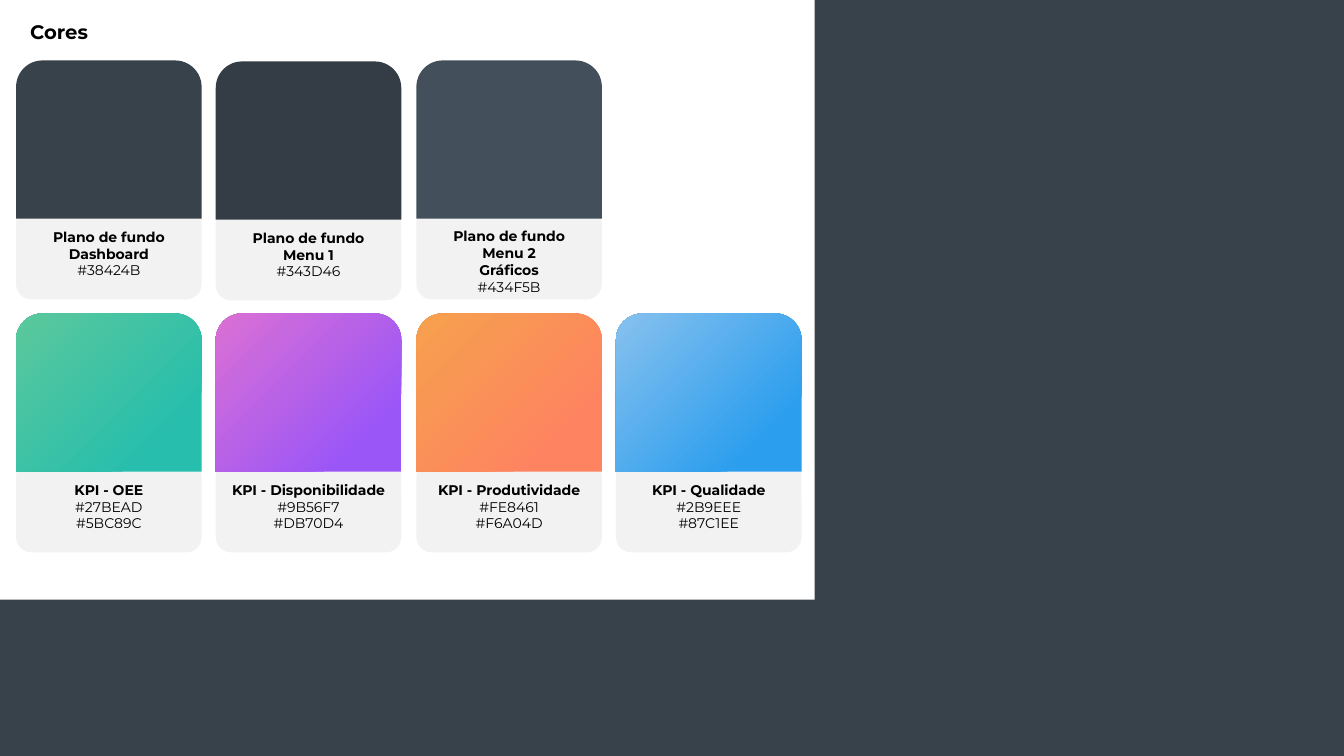
from dataclasses import dataclass

from pptx import Presentation
from pptx.dml.color import RGBColor
from pptx.enum.shapes import MSO_SHAPE
from pptx.enum.text import MSO_ANCHOR, PP_ALIGN
from pptx.util import Emu, Pt

PX = 9144  # 100 px to the inch
FONT = "Montserrat"
COLORS = {
    "page": "38424B",
    "panel": "FFFFFF",
    "label": "F2F2F2",
    "text": "000000",
    "menu1": "343D46",
    "menu2": "434F5B",
    "teal": "27BEAD",
    "green": "5BC89C",
    "violet": "9B56F7",
    "pink": "DB70D4",
    "coral": "FE8461",
    "amber": "F6A04D",
    "blue": "2B9EEE",
    "sky": "87C1EE",
}

# Card grid
LEFT, SPAN = 16, 595  # first column, and distance to the fourth
WIDTH, SWATCH, LABEL, DROP = 184, 157, 91, 146
ROW1, ROW2 = 60, 311


@dataclass
class Card:
    col: int
    top: int
    title: list[str]
    tones: list[str]
    low: bool = False  # text sits at the bottom of the label


CARDS = [
    Card(0, ROW1, ["Plano de fundo Dashboard"], ["page"]),
    Card(1, ROW1 + 1, ["Plano de fundo", "Menu 1"], ["menu1"]),
    Card(2, ROW1, ["Plano de fundo", "Menu 2", "Gráficos"], ["menu2"], low=True),
    Card(0, ROW2, ["KPI - OEE"], ["teal", "green"]),
    Card(1, ROW2, ["KPI - Disponibilidade"], ["violet", "pink"]),
    Card(2, ROW2, ["KPI - Produtividade"], ["coral", "amber"]),
    Card(3, ROW2, ["KPI - Qualidade"], ["blue", "sky"]),
]


def px(num: int) -> Emu:
    return Emu(num * PX)


def rgb(name: str) -> RGBColor:
    return RGBColor.from_string(COLORS[name])


def paint(fill, tones: list[str]) -> None:
    """One tone gives a solid fill, two give a diagonal gradient."""
    if len(tones) == 1:
        fill.solid()
        fill.fore_color.rgb = rgb(tones[0])
        return
    fill.gradient()
    fill.gradient_angle = 135
    for stop, tone, place in zip(fill.gradient_stops, tones, (0.2, 1.0)):
        stop.color.rgb = rgb(tone)
        stop.position = place


def block(slide, kind, x: int, y: int, w: int, h: int, tones: list[str]):
    shape = slide.shapes.add_shape(kind, px(x), px(y), px(w), px(h))
    shape.shadow.inherit = False
    shape.line.fill.background()
    paint(shape.fill, tones)
    return shape


def write(frame, lines: list[tuple[str, bool]], size: int, align) -> None:
    frame.word_wrap = True
    for i, (text, bold) in enumerate(lines):
        para = frame.add_paragraph() if i else frame.paragraphs[0]
        para.alignment = align
        run = para.add_run()
        run.text = text
        run.font.name = FONT
        run.font.size = Pt(size)
        run.font.bold = bold
        run.font.color.rgb = rgb("text")


def draw(slide, card: Card) -> None:
    x = LEFT + round(card.col * SPAN / 3)
    label = block(slide, MSO_SHAPE.ROUNDED_RECTANGLE,
                  x, card.top + DROP, WIDTH, LABEL, ["label"])
    frame = label.text_frame
    frame.vertical_anchor = MSO_ANCHOR.MIDDLE
    if card.low:
        frame.vertical_anchor = MSO_ANCHOR.BOTTOM
        frame.margin_bottom = 0
    lines = [(text, True) for text in card.title]
    lines += [("#" + COLORS[tone], False) for tone in card.tones]
    write(frame, lines, 10, PP_ALIGN.CENTER)
    block(slide, MSO_SHAPE.ROUND_2_SAME_RECTANGLE,
          x, card.top, WIDTH, SWATCH, card.tones)


def main() -> None:
    deck = Presentation()
    deck.slide_width, deck.slide_height = px(1333), px(750)
    slide = deck.slides.add_slide(deck.slide_layouts[6])

    # Page and white panel
    paint(slide.background.fill, ["page"])
    block(slide, MSO_SHAPE.RECTANGLE, 0, 0, 808, 595, ["panel"])

    # Colour cards
    for card in CARDS:
        draw(slide, card)

    # Heading
    head = slide.shapes.add_textbox(px(20), px(15), px(107), px(34))
    write(head.text_frame, [("Cores", True)], 14, PP_ALIGN.LEFT)

    deck.save("out.pptx")


if __name__ == "__main__":
    main()
